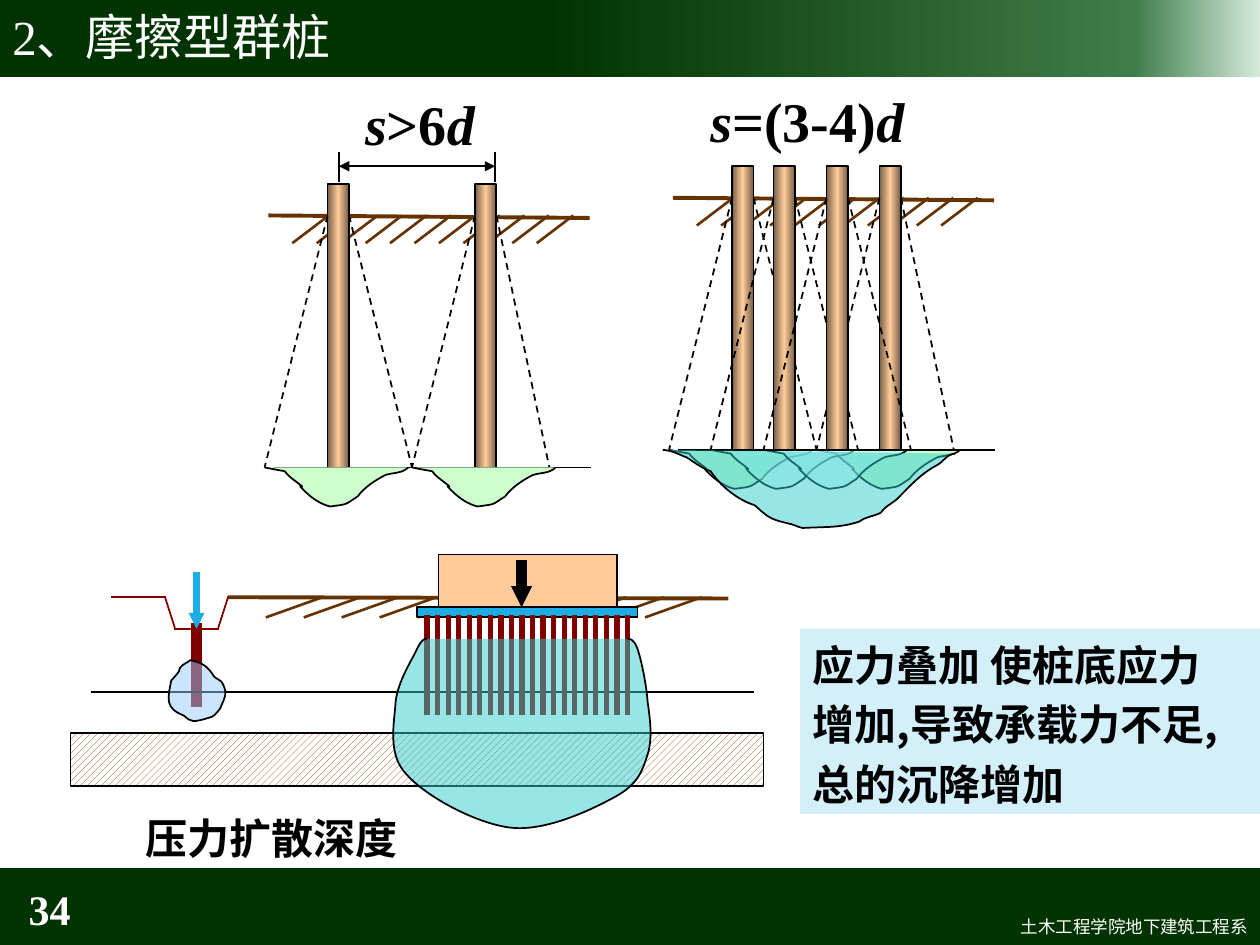
from dataclasses import dataclass

from lxml import etree
from pptx import Presentation, util as u
from pptx.dml.color import RGBColor
from pptx.enum import dml, shapes, text
from pptx.oxml.ns import qn


@dataclass(frozen=True)
class Theme:
    sans: str = "Noto Sans CJK SC"
    serif: str = "Times New Roman"
    black: str = "000000"
    white: str = "FFFFFF"
    bar: str = "003300"
    soil: str = "663300"
    maroon: str = "800000"
    blue: str = "1CADE4"
    peach: str = "FFCC99"
    green: str = "CCFFCC"
    pale: str = "CCFFFF"
    teal: str = "33CCCC"
    sky: str = "99CCFF"
    note: str = "D2EFFA"
    hatch: str = "993300"
    title: int = 28
    formula: int = 32
    body: int = 24
    footer: int = 10


T = Theme()
BAR_STOPS = [(43, T.bar), (90, "3F7C49"), (100, "D4EBDB")]
WOOD_STOPS = [(0, "765E47"), (50, T.peach), (100, "765E47")]

NOTE = ["应力叠加 使桩底应力", "增加,导致承载力不足,", "总的沉降增加"]
WIDE_FORMULA = [("s", True), (">6", False), ("d", True)]
CLOSE_FORMULA = [("s", True), ("=(3-4)", False), ("d", True)]

# Curves: a start point, then three points for each Bezier piece
BULB = [(0, 0), (.05, .01), (.1, .02), (.16, .03), (.19, .07), (.22, .09), (.26, .12),
        (.36, .2), (.23, .1), (.31, .18), (.37, .24), (.44, .29), (.52, .31),
        (.67, .29), (.63, .3), (.74, .23), (.79, .16), (.88, .1), (.96, .06),
        (1.02, .04), (1.09, .05), (1.14, 0)]
MERGED_BULB = [(5.26, 3.57), (5.35, 3.58), (5.37, 3.6), (5.45, 3.63),
               (5.51, 3.67), (5.58, 3.72), (5.64, 3.74), (5.72, 3.86), (5.86, 3.97), (5.99, 4.01),
               (6.09, 4.1), (6.11, 4.12), (6.24, 4.15), (6.27, 4.16), (6.29, 4.16), (6.31, 4.17),
               (6.33, 4.18), (6.37, 4.19), (6.37, 4.19), (6.57, 4.18), (6.66, 4.19), (6.82, 4.14),
               (6.87, 4.1), (6.93, 4.1), (6.99, 4.07), (7.04, 4), (7.09, 4), (7.15, 3.93),
               (7.25, 3.83), (7.31, 3.76), (7.44, 3.69), (7.48, 3.67), (7.52, 3.6), (7.58, 3.6)]
GROUP_BULB = [(3.39, 5.07), (3.37, 5.07), (3.35, 5.07), (3.31, 5.15),
              (3.27, 5.24), (3.16, 5.4), (3.14, 5.57), (3.13, 5.74), (3.07, 5.99), (3.23, 6.15),
              (3.38, 6.32), (3.78, 6.54), (4.06, 6.57), (4.34, 6.6), (4.71, 6.42), (4.89, 6.32),
              (5.07, 6.22), (5.1, 6.11), (5.14, 5.99), (5.18, 5.86), (5.16, 5.71), (5.14, 5.57),
              (5.13, 5.43), (5.09, 5.24), (5.06, 5.15), (5.03, 5.07), (5, 5.07), (4.98, 5.07)]
SINGLE_BULB = [(1.51, 5.24), (1.49, 5.26), (1.45, 5.27), (1.43, 5.3),
               (1.42, 5.31), (1.43, 5.32), (1.42, 5.33), (1.4, 5.36), (1.36, 5.4), (1.36, 5.4),
               (1.33, 5.55), (1.31, 5.62), (1.46, 5.68), (1.52, 5.73), (1.52, 5.74), (1.68, 5.69),
               (1.71, 5.68), (1.75, 5.62), (1.75, 5.62), (1.78, 5.54), (1.81, 5.51), (1.77, 5.43),
               (1.76, 5.4), (1.72, 5.39), (1.7, 5.37), (1.65, 5.29), (1.61, 5.26), (1.51, 5.24)]
PIT = [(1.81, 4.74), (1.73, 4.99), (1.39, 4.99), (1.31, 4.74), (.89, 4.74)]

prs = Presentation()
prs.slide_width, prs.slide_height = u.Inches(10), u.Inches(7.5)
s = prs.slides.add_slide(prs.slide_layouts[6])


def rgb(c):
    return RGBColor.from_string(c)


def set_fill(sp, fill, alpha=None):
    """Fill with a colour, or with a list of (percent, colour) gradient stops."""
    if isinstance(fill, str):
        sp.fill.solid()
        sp.fill.fore_color.rgb = rgb(fill)
        if alpha:
            clr = sp._element.spPr.find(".//" + qn("a:srgbClr"))
            etree.SubElement(clr, qn("a:alpha"), val=str(alpha * 1000))
        return
    sp.fill.gradient()
    sp.fill.gradient_angle = 0
    stops = sp._element.spPr.find(".//" + qn("a:gsLst"))
    for gs in list(stops):
        stops.remove(gs)
    for pos, c in fill:
        gs = etree.SubElement(stops, qn("a:gs"), pos=str(pos * 1000))
        etree.SubElement(gs, qn("a:srgbClr"), val=c)


def set_outline(sp, outlined=True):
    sp.shadow.inherit = False
    if outlined:
        sp.line.color.rgb = rgb(T.black)
        sp.line.width = u.Pt(1)
    else:
        sp.line.fill.background()


def rect(x, y, w, h, fill, outlined=True):
    sp = s.shapes.add_shape(shapes.MSO_SHAPE.RECTANGLE, *map(u.Inches, (x, y, w, h)))
    set_fill(sp, fill)
    set_outline(sp, outlined)
    return sp


def line(x1, y1, x2, y2, color=T.black, width=1, dash=False, ends=(), head="med", cap="flat"):
    sp = s.shapes.add_connector(shapes.MSO_CONNECTOR.STRAIGHT, *map(u.Inches, (x1, y1, x2, y2)))
    sp.line.color.rgb = rgb(color)
    sp.line.width = u.Pt(width)
    if dash:
        sp.line.dash_style = dml.MSO_LINE.DASH
    ln = sp.line._get_or_add_ln()
    ln.set("cap", cap)
    for end in ends:
        etree.SubElement(ln, qn("a:" + end), type="triangle", w=head, len=head)
    etree.SubElement(sp._element.spPr, qn("a:effectLst"))


def curve(pts, fill, alpha=None, closed=False):
    """Draw chained cubic Bezier pieces: each three segments become one piece."""
    start, *rest = [tuple(map(u.Inches, pt)) for pt in pts]
    fb = s.shapes.build_freeform(*start, scale=1.0)
    fb.add_line_segments(rest, close=closed)
    sp = fb.convert_to_shape()
    segments = sp._element.spPr.findall(".//" + qn("a:lnTo"))
    for i in range(0, len(segments), 3):
        piece = etree.Element(qn("a:cubicBezTo"))
        segments[i].addprevious(piece)
        for seg in segments[i:i + 3]:
            piece.append(seg[0])
            seg.getparent().remove(seg)
    set_fill(sp, fill, alpha)
    set_outline(sp)


def bulb(x, y, fill, alpha=None):
    curve([(x + dx, y + dy) for dx, dy in BULB], fill, alpha)


def ground(x1, x2, y, first, pitch, dx, dy, drop):
    """Soil surface with eleven slanted ticks below it."""
    line(x1, y, x2, y + drop, T.soil, 2.25)
    for i in range(11):
        x = first + i * pitch
        line(x, y, x - dx, y + dy, T.soil, 1.5)


def pile(x, top):
    rect(x, top, .17, 2.25, WOOD_STOPS)


def spread(x, top, right=.5):
    """Dashed stress lines fanning out from both sides of a pile."""
    line(x, top + .25, x - .5, top + 2.25, dash=True)
    line(x + .17, top + .25, x + .17 + right, top + 2.25, dash=True)


def write(sp, paras, size, font=T.sans, color=T.black, bold=True, align=None, gap=0):
    """Each paragraph is a list of (text, italic) runs."""
    tf = sp.text_frame
    tf.word_wrap = False
    tf.vertical_anchor = text.MSO_ANCHOR.MIDDLE
    for i, runs in enumerate(paras):
        p = tf.add_paragraph() if i else tf.paragraphs[0]
        p.alignment = align or text.PP_ALIGN.LEFT
        if i:
            p.space_before = u.Pt(gap)
        for words, italic in runs:
            r = p.add_run()
            r.text = words
            f = r.font
            f.name, f.size, f.bold, f.italic = font, u.Pt(size), bold, italic
            f.color.rgb = rgb(color)
            etree.SubElement(r._r.get_or_add_rPr(), qn("a:ea"), typeface=T.sans)


def label(x, y, w, h, runs, size, **style):
    sp = s.shapes.add_textbox(*map(u.Inches, (x, y, w, h)))
    write(sp, [runs], size, **style)


# Title and footer bars
RIGHT = text.PP_ALIGN.RIGHT
rect(0, -.03, 10, .64, BAR_STOPS, outlined=False)
rect(0, 6.89, 10, .64, T.bar, outlined=False)
label(4.21, 7.22, 5.79, .27, [("土木工程学院地下建筑工程系", False)], T.footer,
      color=T.white, bold=False, align=RIGHT)
label(0, -.03, 10, .63, [("2、摩擦型群桩", False)], T.title, font=T.serif, color=T.white, bold=False)
label(0, 7.01, .66, .4, [("34", False)], T.body, font=T.serif, color=T.white, align=RIGHT)

# Widely spaced piles
ground(2.13, 4.68, 1.71, 2.61, .194, .29, .22, .02)
for x, right in ((2.6, .5), (3.77, .42)):
    pile(x, 1.46)
    spread(x, 1.46, right)

# Closely spaced piles
for x in (5.31, 6.48):
    bulb(x, 3.57, T.green)
for x in (5.64, 6.06):
    bulb(x, 3.57, T.pale, 50)
ground(5.34, 7.89, 1.57, 5.82, .194, .29, .22, .02)
line(5.39, 3.57, 7.89, 3.57, cap="sq")
for pair in (((5.81, .5), (6.98, .42)), ((6.14, .5),), ((6.56, .5),)):
    for x, _ in pair:
        pile(x, 1.32)
    for x, right in pair:
        spread(x, 1.32, right)
curve(MERGED_BULB, T.teal, 50)

# Stress bulbs under the widely spaced piles
line(2.18, 3.71, 4.68, 3.71, cap="sq")
for x in (2.1, 3.27):
    bulb(x, 3.71, T.green)

# Single pile beside a loaded pile group
ground(1.81, 5.78, 4.74, 2.56, .301, .45, .16, .01)
for a, b in zip(PIT, PIT[1:]):
    line(*a, *b, T.maroon, cap="sq")
line(1.56, 4.99, 1.56, 5.57, T.maroon, 6, cap="sq")
line(1.56, 4.57, 1.56, 4.99, T.blue, 4.5, ends=["tailEnd"], head="sm", cap="sq")
line(.73, 5.49, 5.98, 5.49, cap="sq")
rect(3.48, 4.4, 1.42, .42, T.peach)
rect(3.31, 4.82, 1.75, .08, T.blue)
for i in range(20):
    x = 3.39 + i * 1.59 / 19
    line(x, 4.9, x, 5.65, T.maroon, 3, cap="sq")
stratum = rect(.56, 5.82, 5.5, .42, T.white)
stratum.fill.patterned()
stratum.fill.pattern = dml.MSO_PATTERN.WIDE_UPWARD_DIAGONAL
stratum.fill.fore_color.rgb = rgb(T.hatch)
stratum.fill.back_color.rgb = rgb(T.white)
line(4.14, 4.49, 4.14, 4.82, width=6, ends=["tailEnd"], head="sm", cap="sq")
label(1.06, 6.4, 3.08, .5, [("压力扩散深度", False)], T.body)
curve(GROUP_BULB, T.teal, 50)
curve(SINGLE_BULB, T.sky, 50, closed=True)

# Spacing dimension, formulas and conclusion
for x in (2.69, 3.93):
    line(x, 1.44, x, 1.21, cap="sq")
line(2.69, 1.32, 3.93, 1.32, ends=["headEnd", "tailEnd"])
label(2.8, .66, 1.33, .64, WIDE_FORMULA, T.formula, font=T.serif)
label(5.54, .63, 2.27, .64, CLOSE_FORMULA, T.formula, font=T.serif)
note = rect(6.35, 4.99, 3.65, 1.47, T.note, outlined=False)
write(note, [[(words, False)] for words in NOTE], T.body, gap=5.2)
note.text_frame.margin_top = u.Inches(.09)

prs.save("out.pptx")
